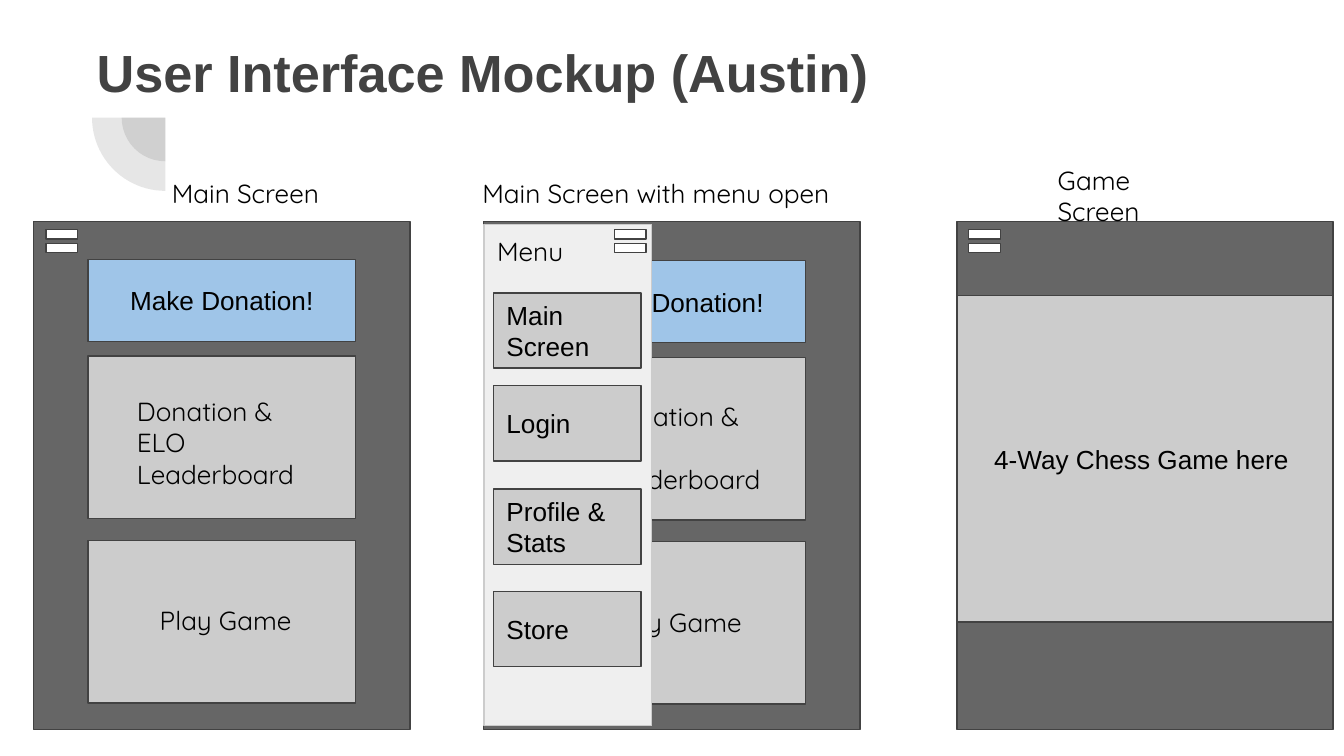
from dataclasses import dataclass

from pptx import Presentation
from pptx.dml.color import RGBColor
from pptx.enum.shapes import MSO_SHAPE
from pptx.enum.text import MSO_ANCHOR, PP_ALIGN
from pptx.oxml.ns import qn
from pptx.util import Inches, Pt
from lxml import etree

RECTANGLE = MSO_SHAPE.RECTANGLE
PIE = MSO_SHAPE.PIE
EQUAL = MSO_SHAPE.MATH_EQUAL
TOP, MIDDLE = MSO_ANCHOR.TOP, MSO_ANCHOR.MIDDLE
LEFT, CENTER = PP_ALIGN.LEFT, PP_ALIGN.CENTER

CELL = Inches(0.1)
COLUMNS, ROWS = 100, 56.25
SCREEN_TOP, SCREEN_WIDTH, SCREEN_HEIGHT = 16.5, 28, 37.8
PANEL_WIDTH = 19.9
LABEL_SIZE = (13.9, 8.2)


@dataclass(frozen=True)
class Theme:
    ink: str = "424242"
    text: str = "000000"
    white: str = "FFFFFF"
    screen: str = "666666"
    panel: str = "CCCCCC"
    drawer: str = "EFEFEF"
    donate: str = "9FC5E8"
    heading: str = "Arial"
    body: str = "Quicksand"
    title_size: int = 28
    body_size: int = 14
    line_width: float = 0.75


THEME = Theme()


def grid(*cells):
    return [round(cell * CELL) for cell in cells]


def write(shape, text, font, size=THEME.body_size, color=THEME.text,
          bold=False, align=LEFT, anchor=TOP):
    frame = shape.text_frame
    frame.word_wrap = True
    frame.vertical_anchor = anchor
    frame.margin_left = frame.margin_right = CELL
    frame.margin_top = frame.margin_bottom = CELL
    para = frame.paragraphs[0]
    para.alignment = align
    for index, line in enumerate(text.split("\n")):
        if index:
            para.add_line_break()
        span = para.add_run()
        span.text = line
        span.font.name = font
        span.font.size = Pt(size)
        span.font.bold = bold
        span.font.color.rgb = RGBColor.from_string(color)


def add_label(page, text, left, top, size=LABEL_SIZE):
    box = page.shapes.add_textbox(*grid(left, top, *size))
    write(box, text, THEME.body)


def add_box(page, at, fill, line=THEME.ink, kind=RECTANGLE):
    box = page.shapes.add_shape(kind, *grid(*at))
    box.shadow.inherit = False
    box.fill.solid()
    box.fill.fore_color.rgb = RGBColor.from_string(fill)
    box.line.color.rgb = RGBColor.from_string(line)
    box.line.width = Pt(THEME.line_width)
    return box


def add_button(page, text, at, fill=THEME.panel, align=CENTER):
    write(add_box(page, at, fill), text, THEME.heading,
          align=align, anchor=MIDDLE)


def add_menu_icon(page, left):
    icon = add_box(page, (left, SCREEN_TOP, 3.2, 2.9), THEME.white, kind=EQUAL)
    icon.adjustments[0] = 0.235
    icon.adjustments[1] = 0.118


def add_screen(page, left):
    add_box(page, (left, SCREEN_TOP, SCREEN_WIDTH, SCREEN_HEIGHT), THEME.screen)


def add_home(page, left, top, leaderboard_at):
    add_screen(page, left)
    inner = left + (SCREEN_WIDTH - PANEL_WIDTH) / 2
    add_button(page, "Make Donation!", (inner, top, PANEL_WIDTH, 6.1), THEME.donate)
    for offset in (7.2, 20.9):
        add_box(page, (inner, top + offset, PANEL_WIDTH, 12.1), THEME.panel)
    add_label(page, "Donation & ELO\nLeaderboard", *leaderboard_at)
    add_label(page, "Play Game", left + 8.4, top + 24.7)


def add_drawer(page, left):
    add_box(page, (left, 16.7, 12.5, 37.3), THEME.drawer, THEME.panel)
    add_menu_icon(page, left + 9.3)
    add_label(page, "Menu", left, SCREEN_TOP)
    entries = (("Main \nScreen", 21.8), ("Login", 28.7),
               ("Profile & Stats", 36.4), ("Store", 44))
    for text, top in entries:
        add_button(page, text, (left + 0.7, top, 11, 5.6), align=LEFT)


def add_game(page, left):
    add_screen(page, left)
    add_menu_icon(page, left + 0.45)
    add_button(page, "4-Way Chess Game here ", (left, 22, SCREEN_WIDTH, 24.3))


def add_corner(page, center_x, center_y, size):
    corner = page.shapes.add_shape(
        PIE, *grid(center_x - size / 2, center_y - size / 2, size, size))
    corner.shadow.inherit = False
    corner.rotation = 270
    corner.adjustments[0] = 108
    corner.adjustments[1] = 162
    corner.line.fill.background()
    corner.fill.solid()
    corner.fill.fore_color.rgb = RGBColor.from_string(THEME.ink)
    color = corner.fill._xPr.find(qn("a:solidFill"))[0]
    etree.SubElement(color, qn("a:alpha")).set("val", "13000")


def add_title(page, text):
    box = page.shapes.add_textbox(*grid(6.2, 2, 76.9, 10.9))
    write(box, text, THEME.heading, THEME.title_size, THEME.ink, bold=True)


def main():
    deck = Presentation()
    deck.slide_width, deck.slide_height = grid(COLUMNS, ROWS)
    page = deck.slides.add_slide(deck.slide_layouts[6])
    for size in (6.5, 10.9):
        add_corner(page, 12.3, 8.75, size)
    add_title(page, "User Interface Mockup (Austin)")
    add_home(page, 36, 19.4, (43.9, 28.8))
    add_drawer(page, 36)
    add_home(page, 2.5, 19.3, (9.2, 28.4))
    add_menu_icon(page, 3)
    add_game(page, 71.2)
    add_label(page, "Main Screen", 11.8, 12.2)
    add_label(page, "Main Screen with menu open", 34.9, 12.2, (30.2, 4.1))
    add_label(page, "Game Screen", 77.7, 11.2)
    deck.save("out.pptx")


if __name__ == "__main__":
    main()
